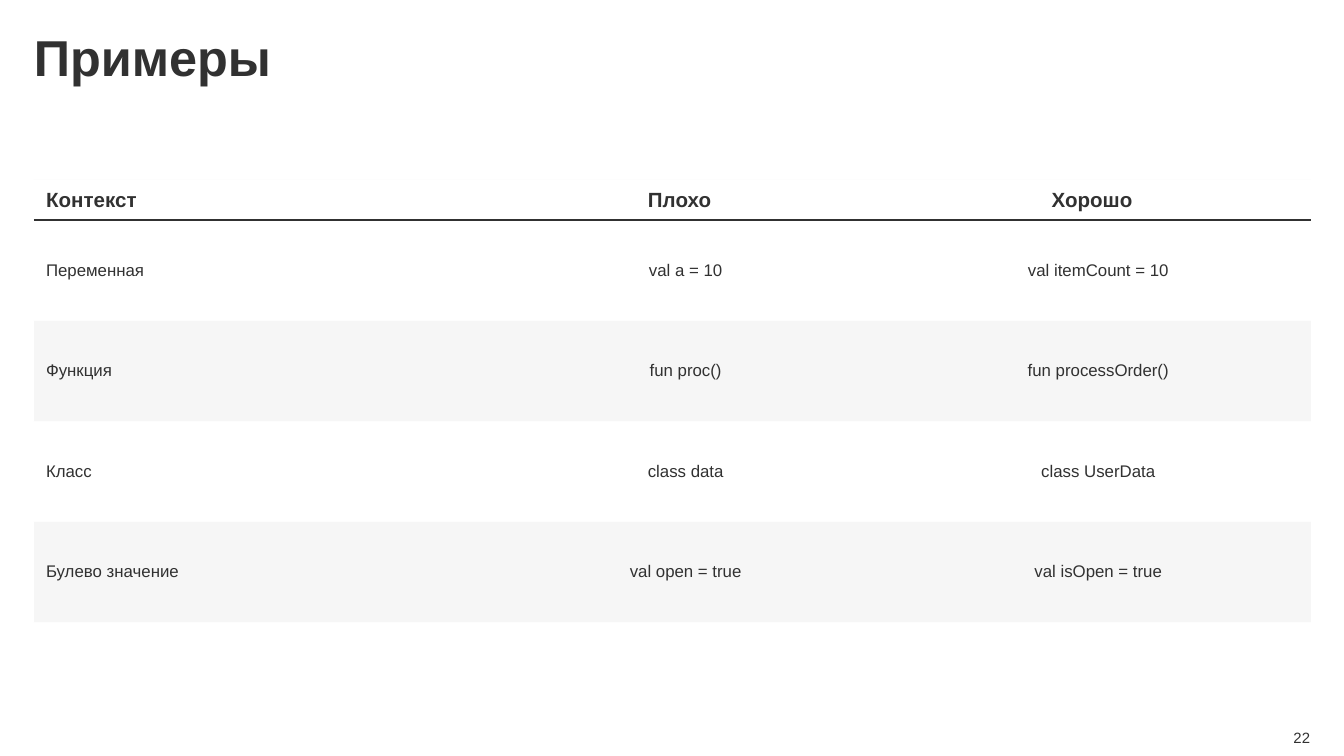
from collections import namedtuple

from lxml.etree import SubElement
from pptx import Presentation
from pptx.dml.color import RGBColor
from pptx.enum.text import MSO_ANCHOR, PP_ALIGN
from pptx.oxml.ns import qn
from pptx.util import Cm, Pt

COLORS = {"ink": "313131", "paper": "FFFFFF", "band": "F6F6F6", "grid": "FDFDFD"}
FONT = "Arial"
TITLE_ONLY = 5

Box = namedtuple("Box", "left top width height")

ROWS = [
    ("Контекст", "Плохо", "Хорошо"),
    ("Переменная", "val a = 10", "val itemCount = 10"),
    ("Функция", "fun proc()", "fun processOrder()"),
    ("Класс", "class data", "class UserData"),
    ("Булево значение", "val open = true", "val isOpen = true"),
]
FIRST_COLUMN_SHARE = 0.3537
HEADER_HEIGHT = 0.76

# Cell margins in cm: left, top, right, bottom
MARGINS = {
    ("header", "label"): (0.23, 0, 0.1, 0),
    ("header", "value"): (0, 0, 0.46, 0),
    ("body", "label"): (0.23, 0.15, 0.15, 0.15),
    ("body", "value"): (0.23, 0.05, 0.46, 0.05),
}


def style_paragraph(para, size, bold=False, align=PP_ALIGN.LEFT):
    para.alignment = align
    para.font.name = FONT
    para.font.size = Pt(size)
    para.font.bold = bold
    para.font.color.rgb = RGBColor.from_string(COLORS["ink"])


def set_margins(target, margins):
    """Set the margins, in cm, of a cell or a text frame."""
    left, top, right, bottom = (Cm(value) for value in margins)
    target.margin_left, target.margin_top = left, top
    target.margin_right, target.margin_bottom = right, bottom


def place(shape, box):
    shape.left, shape.top = Cm(box.left), Cm(box.top)
    shape.width, shape.height = Cm(box.width), Cm(box.height)


def set_borders(cell, top, bottom):
    """Draw the horizontal borders and hide the vertical ones."""
    properties = cell._tc.get_or_add_tcPr()
    for tag, color in (("lnL", None), ("lnR", None), ("lnT", top), ("lnB", bottom)):
        line = SubElement(properties, qn(f"a:{tag}"), w=str(Pt(0.75)))
        if color is None:
            SubElement(line, qn("a:noFill"))
        else:
            fill = SubElement(line, qn("a:solidFill"))
            SubElement(fill, qn("a:srgbClr"), val=COLORS[color])


def add_title(page, text, box):
    title = page.shapes.title
    place(title, box)
    frame = title.text_frame
    frame.text = text
    frame.word_wrap = True
    frame.vertical_anchor = MSO_ANCHOR.MIDDLE
    set_margins(frame, (0, 0, 0, 0))
    para = frame.paragraphs[0]
    para.line_spacing = 0.9
    style_paragraph(para, 27, bold=True)


def format_cell(cell, text, row, column):
    header = row == 0
    label = column == 0
    cell.text = text
    cell.vertical_anchor = MSO_ANCHOR.MIDDLE
    set_margins(cell, MARGINS["header" if header else "body",
                              "label" if label else "value"])
    set_borders(cell, top="ink" if row == 1 else "grid",
                bottom="ink" if header else "grid")
    banded = not header and row % 2 == 0
    cell.fill.solid()
    cell.fill.fore_color.rgb = RGBColor.from_string(COLORS["band" if banded else "paper"])
    style_paragraph(cell.text_frame.paragraphs[0], 11 if header else 9, bold=header,
                    align=PP_ALIGN.LEFT if label else PP_ALIGN.CENTER)


def add_examples_table(page, rows, box):
    column_count = len(rows[0])
    frame = page.shapes.add_table(len(rows), column_count, *(Cm(value) for value in box))
    table = frame.table
    table.first_row = table.horz_banding = False

    label_width = box.width * FIRST_COLUMN_SHARE
    value_width = (box.width - label_width) / (column_count - 1)
    for index, column in enumerate(table.columns):
        column.width = Cm(value_width if index else label_width)

    body_height = (box.height - HEADER_HEIGHT) / (len(rows) - 1)
    for index, row in enumerate(table.rows):
        row.height = Cm(body_height if index else HEADER_HEIGHT)
        for column, text in enumerate(rows[index]):
            format_cell(table.cell(index, column), text, index, column)


def add_page_number(page, number, box):
    frame = page.shapes.add_textbox(*(Cm(value) for value in box)).text_frame
    frame.word_wrap = True
    set_margins(frame, (0, 0, 0, 0))
    frame.text = str(number)
    style_paragraph(frame.paragraphs[0], 8, align=PP_ALIGN.RIGHT)


def main():
    deck = Presentation()
    deck.slide_width, deck.slide_height = Cm(25.4), Cm(14.29)
    page = deck.slides.add_slide(deck.slide_layouts[TITLE_ONLY])
    page.background.fill.solid()
    page.background.fill.fore_color.rgb = RGBColor.from_string(COLORS["paper"])

    add_title(page, "Примеры", Box(0.64, 0.61, 23.22, 1.04))
    add_examples_table(page, ROWS, Box(0.64, 3.4, 24.13, 8.36))
    add_page_number(page, 22, Box(23.39, 13.77, 1.37, 0.33))
    deck.save("out.pptx")


if __name__ == "__main__":
    main()
